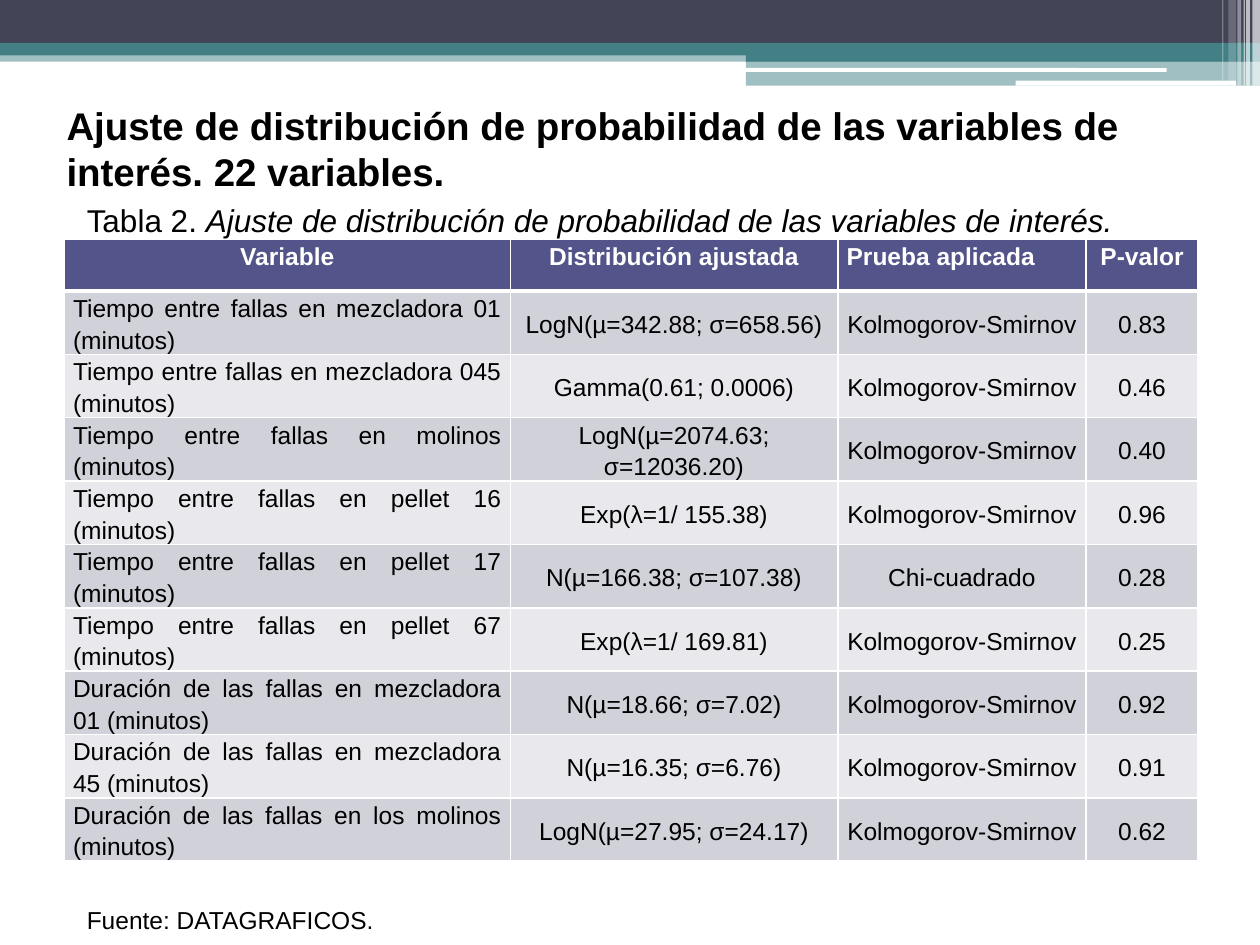
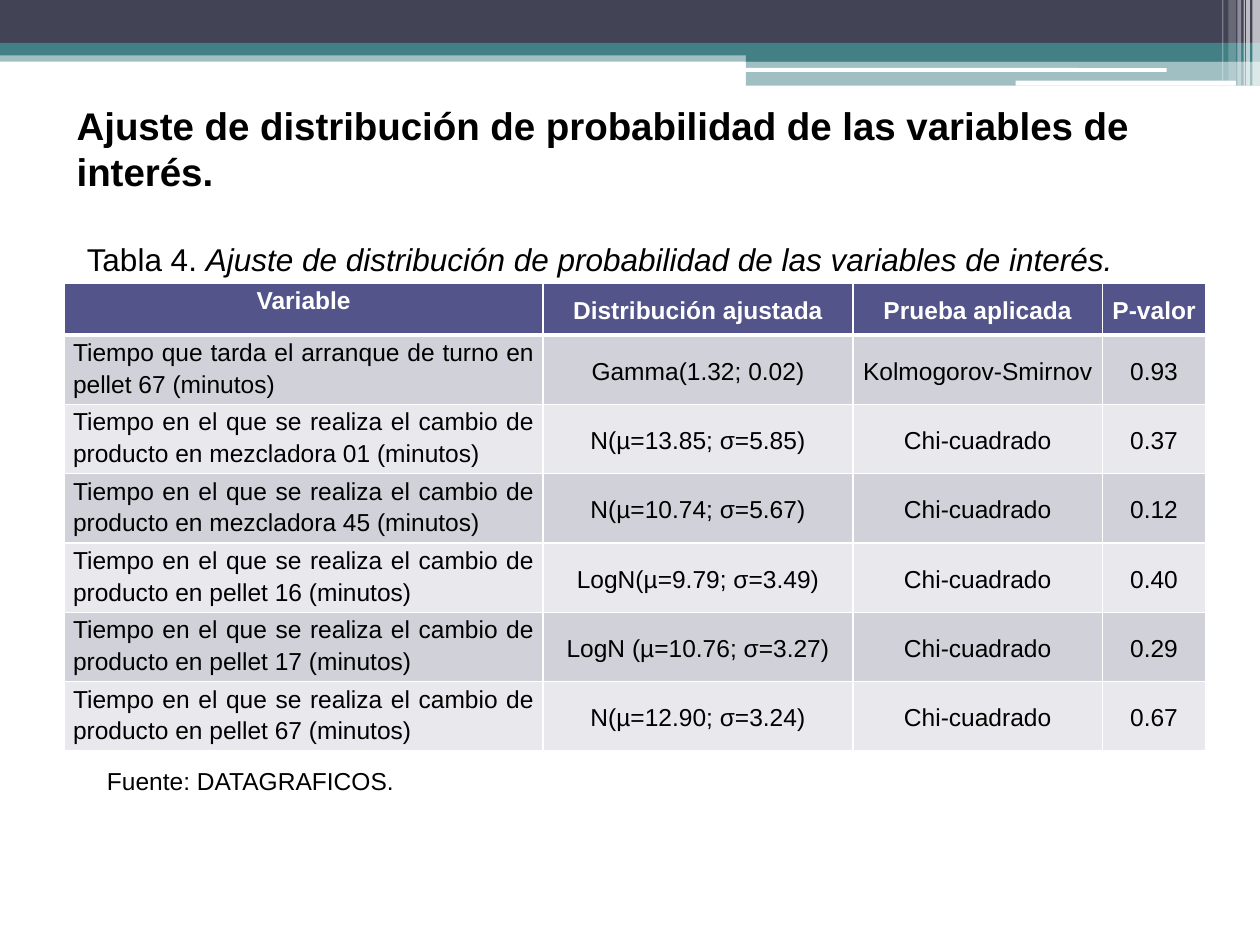
import lxml.etree
import pptx
import pptx.dml.color
import pptx.enum.shapes
import pptx.enum.text
import pptx.oxml.ns
import pptx.util

Inches = pptx.util.Inches
Pt = pptx.util.Pt
ALIGN = pptx.enum.text.PP_ALIGN
ANCHOR = pptx.enum.text.MSO_ANCHOR
SHAPE = pptx.enum.shapes.MSO_SHAPE

FONT = "Arial"
COLORS = {
    "white": "FFFFFF",
    "black": "000000",
    "slate": "424456",
    "teal": "438086",
    "header": "53548A",
    "odd_row": "D1D1DA",
    "even_row": "E9E9ED",
}

# left, top, width, height, colour, opacity in percent
BANDS = [
    (0, 0.4, 10, 0.09, "teal", 50),
    (0, 0, 10, 0.34, "slate", 100),
    (0, 0.34, 10, 0.1, "teal", 100),
    (5.92, 0.39, 4.08, 0.1, "teal", 100),
    (5.92, 0.48, 4.08, 0.2, "teal", 50),
]
ROUNDED_BARS = [
    (5.91, 0.54, 3.35, 0.03, "white", 100),
    (8.06, 0.64, 1.75, 0.04, "white", 100),
]
CORNER_STRIPES = [
    (9.94, 0, 0.06, 0.68, "white", 65),
    (9.89, 0, 0.03, 0.68, "white", 65),
    (9.87, 0, 0.01, 0.68, "white", 60),
    (9.82, 0, 0.03, 0.68, "white", 40),
    (9.75, 0, 0.06, 0.64, "white", 20),
    (9.7, 0, 0.01, 0.64, "white", 30),
]

TITLE = "Ajuste de distribución de probabilidad de las variables de interés."
SOURCE = "Fuente: DATAGRAFICOS."
HEADINGS = ("Variable", "Distribución ajustada", "Prueba aplicada", "P-valor")
KS = "Kolmogorov-Smirnov"
CHI = "Chi-cuadrado"

FAILURE_ROWS = [
    ("Tiempo entre fallas en mezcladora 01 (minutos)", "LogN(µ=342.88; σ=658.56)", KS, "0.83"),
    ("Tiempo entre fallas en mezcladora 045 (minutos)", "Gamma(0.61; 0.0006)", KS, "0.46"),
    ("Tiempo entre fallas en molinos (minutos)", "LogN(µ=2074.63; σ=12036.20)", KS, "0.40"),
    ("Tiempo entre fallas en pellet 16 (minutos)", "Exp(λ=1/ 155.38)", KS, "0.96"),
    ("Tiempo entre fallas en pellet 17 (minutos)", "N(µ=166.38; σ=107.38)", CHI, "0.28"),
    ("Tiempo entre fallas en pellet 67 (minutos)", "Exp(λ=1/ 169.81)", KS, "0.25"),
    ("Duración de las fallas en mezcladora 01 (minutos)", "N(µ=18.66; σ=7.02)", KS, "0.92"),
    ("Duración de las fallas en mezcladora 45 (minutos)", "N(µ=16.35; σ=6.76)", KS, "0.91"),
    ("Duración de las fallas en los molinos (minutos)", "LogN(µ=27.95; σ=24.17)", KS, "0.62"),
]

CHANGE = "Tiempo en el que se realiza el cambio de producto en "
CHANGE_ROWS = [
    ("Tiempo que tarda el arranque de turno en pellet 67 (minutos)", "Gamma(1.32; 0.02)", KS, "0.93"),
    (CHANGE + "mezcladora 01 (minutos)", "N(µ=13.85; σ=5.85)", CHI, "0.37"),
    (CHANGE + "mezcladora 45 (minutos)", "N(µ=10.74; σ=5.67)", CHI, "0.12"),
    (CHANGE + "pellet 16 (minutos)", "LogN(µ=9.79; σ=3.49)", CHI, "0.40"),
    (CHANGE + "pellet 17 (minutos)", "LogN (µ=10.76; σ=3.27)", CHI, "0.29"),
    (CHANGE + "pellet 67 (minutos)", "N(µ=12.90; σ=3.24)", CHI, "0.67"),
]


def rgb(name):
    return pptx.dml.color.RGBColor.from_string(COLORS[name])


def add_child(parent, tag, **attributes):
    child = lxml.etree.SubElement(parent, pptx.oxml.ns.qn(tag))
    for key, value in attributes.items():
        child.set(key, str(value))
    return child


def style_font(font, size, color="black", bold=False, italic=False):
    font.name = FONT
    font.size = Pt(size)
    font.color.rgb = rgb(color)
    font.bold = bold
    font.italic = italic


def add_bar(slide, kind, left, top, width, height, color, opacity):
    bar = slide.shapes.add_shape(
        kind, Inches(left), Inches(top), Inches(width), Inches(height))
    bar.shadow.inherit = False
    bar.line.fill.background()
    bar.fill.solid()
    bar.fill.fore_color.rgb = rgb(color)
    if opacity < 100:
        tint = bar.fill._xPr.find(".//" + pptx.oxml.ns.qn("a:srgbClr"))
        add_child(tint, "a:alpha", val=opacity * 1000)


def add_banner(slide):
    for kind, bars in ((SHAPE.RECTANGLE, BANDS),
                       (SHAPE.ROUNDED_RECTANGLE, ROUNDED_BARS),
                       (SHAPE.RECTANGLE, CORNER_STRIPES)):
        for bar in bars:
            add_bar(slide, kind, *bar)


def add_text(slide, left, top, width, height, size, *parts):
    """Add one paragraph; each part is (text, bold, italic)."""
    box = slide.shapes.add_textbox(
        Inches(left), Inches(top), Inches(width), Inches(height))
    frame = box.text_frame
    frame.word_wrap = True
    frame.auto_size = pptx.enum.text.MSO_AUTO_SIZE.SHAPE_TO_FIT_TEXT
    for text, bold, italic in parts:
        run = frame.paragraphs[0].add_run()
        run.text = text
        style_font(run.font, size, bold=bold, italic=italic)


def add_borders(cell, top, bottom):
    """Draw white cell borders; top and bottom are widths in points."""
    properties = cell._tc.get_or_add_tcPr()
    for side, width in (("L", 1), ("R", 1), ("T", top), ("B", bottom)):
        line = add_child(properties, "a:ln" + side, w=Pt(width))
        add_child(add_child(line, "a:solidFill"), "a:srgbClr", val=COLORS["white"])


def fill_cell(cell, text, row, align, anchor):
    add_borders(cell, top=3 if row == 1 else 1, bottom=3 if row == 0 else 1)
    cell.fill.solid()
    cell.fill.fore_color.rgb = rgb(
        "header" if row == 0 else "odd_row" if row % 2 else "even_row")
    cell.margin_left = cell.margin_right = Inches(0.07)
    cell.margin_top = cell.margin_bottom = 0
    cell.vertical_anchor = anchor
    cell.text_frame.text = text
    paragraph = cell.text_frame.paragraphs[0]
    paragraph.alignment = align
    paragraph.line_spacing = 1.15
    paragraph.space_after = Pt(10)
    style_font(paragraph.runs[0].font, 14, "black" if row else "white", bold=row == 0)


def add_fit_table(slide, top, widths, row_height, rows, heading_aligns, heading_anchors):
    header_height = 0.41
    height = header_height + row_height * len(rows)
    table = slide.shapes.add_table(
        len(rows) + 1, len(widths), Inches(0.51), Inches(top),
        Inches(sum(widths)), Inches(height)).table
    for column, width in zip(table.columns, widths):
        column.width = Inches(width)
    for index, row in enumerate(table.rows):
        row.height = Inches(row_height if index else header_height)
    body_aligns = [ALIGN.JUSTIFY] + [ALIGN.CENTER] * 3
    body_anchors = [ANCHOR.TOP] + [ANCHOR.MIDDLE] * 3
    for index, texts in enumerate([HEADINGS, *rows]):
        aligns = body_aligns if index else heading_aligns
        anchors = body_anchors if index else heading_anchors
        for column, text in enumerate(texts):
            fill_cell(table.cell(index, column), text, index,
                      aligns[column], anchors[column])


def add_labels(slide, title, title_left, title_width, number, caption_top,
               source_left, source_top):
    add_text(slide, title_left, 0.76, title_width, 0.84, 22, (title, True, False))
    add_text(slide, source_left, source_top, 4.02, 0.34, 14, (SOURCE, False, False))
    add_text(slide, 0.59, caption_top, 8.82, 0.4, 18,
             (f"Tabla {number}. ", False, False), (TITLE, False, True))


def main():
    deck = pptx.Presentation()
    deck.slide_width = Inches(10)
    deck.slide_height = Inches(7.5)
    blank = deck.slide_layouts[6]

    failures = deck.slides.add_slide(blank)
    add_banner(failures)
    add_fit_table(failures, 1.9, (3.54, 2.6, 1.97, 0.89), 0.41, FAILURE_ROWS,
                  [ALIGN.CENTER, ALIGN.CENTER, ALIGN.LEFT, ALIGN.CENTER],
                  [ANCHOR.TOP] * 4)
    add_labels(failures, TITLE + " 22 variables.", 0.43, 9.06, 2, 1.55, 0.59, 7.13)

    changes = deck.slides.add_slide(blank)
    add_banner(changes)
    add_fit_table(changes, 2.25, (3.8, 2.46, 1.98, 0.82), 0.55, CHANGE_ROWS,
                  [ALIGN.CENTER] * 4, [ANCHOR.TOP] + [ANCHOR.MIDDLE] * 3)
    add_labels(changes, TITLE, 0.51, 8.98, 4, 1.86, 0.75, 6.03)

    deck.save("out.pptx")


if __name__ == "__main__":
    main()
